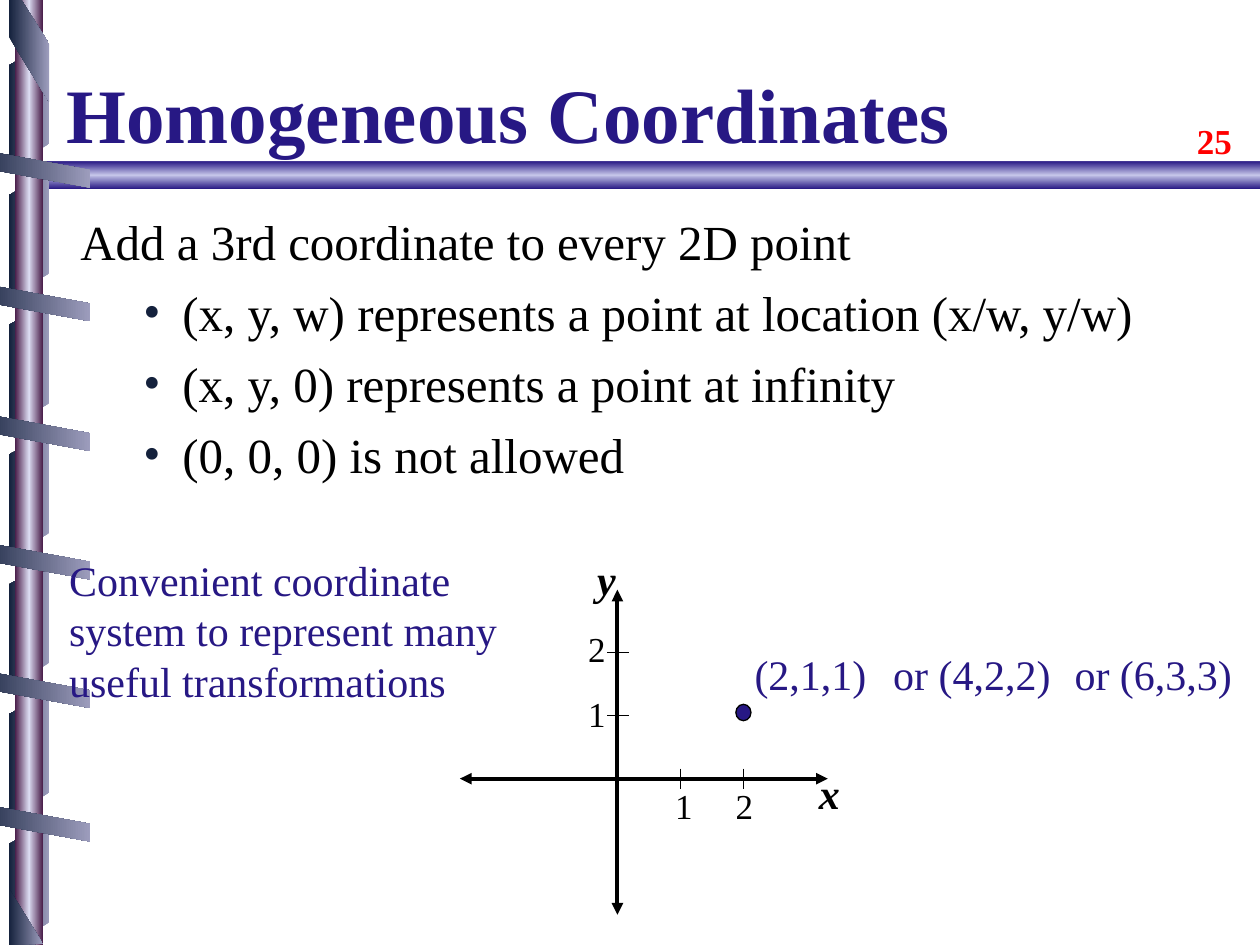
import pptx
import pptx.util
import pptx.dml.color
import pptx.enum.shapes
import pptx.enum.text
import pptx.oxml
import pptx.oxml.ns

RGBColor = pptx.dml.color.RGBColor
Shapes = pptx.enum.shapes.MSO_SHAPE
Anchor = pptx.enum.text.MSO_ANCHOR

INDIGO = RGBColor(0x27, 0x18, 0x84)
LAVENDER = RGBColor(0xC5, 0xC5, 0xE9)
MIST = RGBColor(0xDB, 0xDB, 0xF1)
PLUM = RGBColor(0x49, 0x1D, 0x49)
NAVY = RGBColor(0x14, 0x21, 0x3C)
HAZE = RGBColor(0x9D, 0x9D, 0xBD)
GREY = RGBColor(0x80, 0x80, 0x80)
BLACK = RGBColor(0, 0, 0)
RED = RGBColor(0xFF, 0, 0)
COLUMNS, ROWS = 100, 75


def element(tag, inner="", **attributes):
    listed = " ".join(f'{key}="{value}"' for key, value in attributes.items())
    return pptx.oxml.parse_xml(
        f'<a:{tag} {pptx.oxml.ns.nsdecls("a")} {listed}>{inner}</a:{tag}>')


def add_span(para, text, size=20, color=BLACK, bold=False, italic=False, shadow=False):
    span = para.add_run()
    span.text = text
    span.font.size = pptx.util.Pt(size)
    span.font.bold = bold
    span.font.italic = italic
    span.font.color.rgb = color
    if shadow:
        cast = (f'<a:outerShdw dist="25400" dir="2700000" algn="tl">'
                f'<a:srgbClr val="{GREY}"/></a:outerShdw>')
        span.font._element.append(element("effectLst", cast))
    span.font.name = "Times New Roman"


class Slide:
    def __init__(self, deck):
        self.page = deck.slides.add_slide(deck.slide_layouts[6])
        self.column = deck.slide_width / COLUMNS
        self.row = deck.slide_height / ROWS

    def place(self, column, row):
        return round(column * self.column), round(row * self.row)

    def paint(self, shape, colors, angle=0):
        shape.shadow.inherit = False
        shape.line.fill.background()
        if len(colors) == 1:
            shape.fill.solid()
            shape.fill.fore_color.rgb = colors[0]
            return
        step = 100000 // (len(colors) - 1)
        stops = "".join(f'<a:gs pos="{i * step}"><a:srgbClr val="{color}"/></a:gs>'
                        for i, color in enumerate(colors))
        inner = f'<a:gsLst>{stops}</a:gsLst><a:lin ang="{angle * 60000}" scaled="0"/>'
        shape.fill.background()
        properties = shape._element.spPr
        empty = properties.find(pptx.oxml.ns.qn("a:noFill"))
        properties.replace(empty, element("gradFill", inner, rotWithShape=1))

    def shape(self, kind, at, colors, angle=0, rotation=0, flip=False, adjust=None):
        shape = self.page.shapes.add_shape(kind, *self.place(*at[:2]), *self.place(*at[2:]))
        if adjust is not None:
            shape.adjustments[0] = adjust
        shape.rotation = rotation
        if flip:
            shape._element.spPr.xfrm.set("flipH", "1")
        self.paint(shape, colors, angle)
        return shape

    def outline(self, points, colors):
        corners = [self.place(*point) for point in points]
        builder = self.page.shapes.build_freeform(*corners[0])
        builder.add_line_segments(corners[1:], close=True)
        self.paint(builder.convert_to_shape(), colors)

    def line(self, start, end, width=0.75, arrows=False):
        line = self.page.shapes.add_connector(
            pptx.enum.shapes.MSO_CONNECTOR.STRAIGHT, *self.place(*start), *self.place(*end))
        line.line.width = pptx.util.Pt(width)
        line.line.color.rgb = BLACK
        if arrows:
            for tag in ("headEnd", "tailEnd"):
                line.line._get_or_add_ln().append(element(tag, type="triangle"))
        line._element.spPr.append(element("effectLst"))

    def box(self, at, wrap=False, anchor=Anchor.TOP):
        box = self.page.shapes.add_textbox(*self.place(*at[:2]), *self.place(*at[2:]))
        box.text_frame.word_wrap = wrap
        box.text_frame.vertical_anchor = anchor
        return box.text_frame

    def text(self, at, text, wrap=False, anchor=Anchor.TOP, **style):
        add_span(self.box(at, wrap, anchor).paragraphs[0], text, **style)

    def bullets(self, at, heading, items):
        frame = self.box(at, wrap=True)
        frame.margin_top = pptx.util.Inches(0.1)
        para = frame.paragraphs[0]
        add_span(para, heading, size=28, shadow=True)
        for item in items:
            para = frame.add_paragraph()
            para.level = 1
            para.space_before = pptx.util.Pt(7)
            properties = para._p.get_or_add_pPr()
            properties.set("marL", str(pptx.util.Inches(0.81)))
            properties.set("indent", str(pptx.util.Inches(-0.31)))
            properties.append(element("buClr", f'<a:srgbClr val="{NAVY}"/>'))
            properties.append(element("buFont", typeface="Times New Roman"))
            properties.append(element("buChar", char="•"))
            add_span(para, item, size=28, shadow=True)


def draw_binding(slide):
    slide.shape(Shapes.PENTAGON, (1.9, 12.8, 98.1, 2.2), (INDIGO, LAVENDER, INDIGO),
                angle=90, flip=True, adjust=0.77)
    slide.shape(Shapes.OVAL, (1.4, 12.7, 2.4, 2.2), (MIST,))
    for i in range(7):
        slide.shape(Shapes.PARALLELOGRAM, (-2.6, 6.7 + 10.3 * i, 9.8, 3.2), (HAZE, NAVY),
                    angle=90, rotation=90, flip=True, adjust=0.56)
    slide.shape(Shapes.RECTANGLE, (1.2, 0, 2.2, ROWS), (PLUM, MIST, PLUM))
    for middle in (13.3, 23.9, 34.2, 44.4, 54.6, 65.2):
        slide.shape(Shapes.PARALLELOGRAM, (0.7, middle - 4.9, 3.2, 9.8), (NAVY, HAZE),
                    angle=90, rotation=270, adjust=0.56)
    slide.outline([(0.7, 0), (0.7, 2.9), (3.9, 8.1), (3.9, 3.5), (1.7, 0)], (NAVY, HAZE))
    slide.outline([(3.4, 74.9), (0.7, 70.5), (0.7, 75)], (NAVY, HAZE))


def draw_plot(slide):
    slide.line((49, 46.8), (49, 72.6), width=2.25, arrows=True)
    slide.line((36.5, 61.8), (65.7, 61.8), width=2.25, arrows=True)
    point = slide.shape(Shapes.OVAL, (58.4, 55.9, 1.2, 1.3), (INDIGO,))
    point.line.color.rgb = BLACK
    point.line.width = pptx.util.Pt(0.75)
    for value in (1, 2):
        across, up = 49 + 5 * value, 61.8 - 5 * value
        slide.line((across, 61), (across, 62.6))
        slide.line((48.2, up), (49.9, up))
        slide.text((47.8 + 4.8 * value, 61.8, 3.4, 4.4), str(value))
        slide.text((45.7, 59.7 - 5.2 * value, 3.4, 4.4), str(value))
    for column, width, label in ((58.9, 11, "(2,1,1)"), (69.9, 14.6, "or (4,2,2)"),
                                 (84.3, 14.6, "or (6,3,3)")):
        slide.text((column, 51, width, 5.1), label, size=24, color=INDIGO)
    for column, row, name in ((64, 60.4, "x"), (46.4, 43.4, "y")):
        slide.text((column, row, 3.6, 5.1), name, size=24, bold=True, italic=True)


def main():
    deck = pptx.Presentation()
    deck.slide_width = pptx.util.Inches(10)
    deck.slide_height = pptx.util.Inches(7.5)
    slide = Slide(deck)
    draw_binding(slide)
    slide.text((94, 9, 5.2, 4.3), "25", color=RED, bold=True)
    slide.text((4.3, 1.4, 81.4, 11.7), "Homogeneous Coordinates", wrap=True,
               anchor=Anchor.BOTTOM, size=44, color=INDIGO, bold=True)
    slide.bullets((5.4, 15.8, 93.3, 25.2), "Add a 3rd coordinate to every 2D point",
                  ("(x, y, w) represents a point at location (x/w, y/w)",
                   "(x, y, 0) represents a point at infinity",
                   "(0, 0, 0) is not allowed"))
    slide.text((4.5, 43.5, 36.4, 13.1),
               "Convenient coordinate system to represent many useful transformations",
               wrap=True, size=24, color=INDIGO)
    draw_plot(slide)
    deck.save("out.pptx")


if __name__ == "__main__":
    main()
